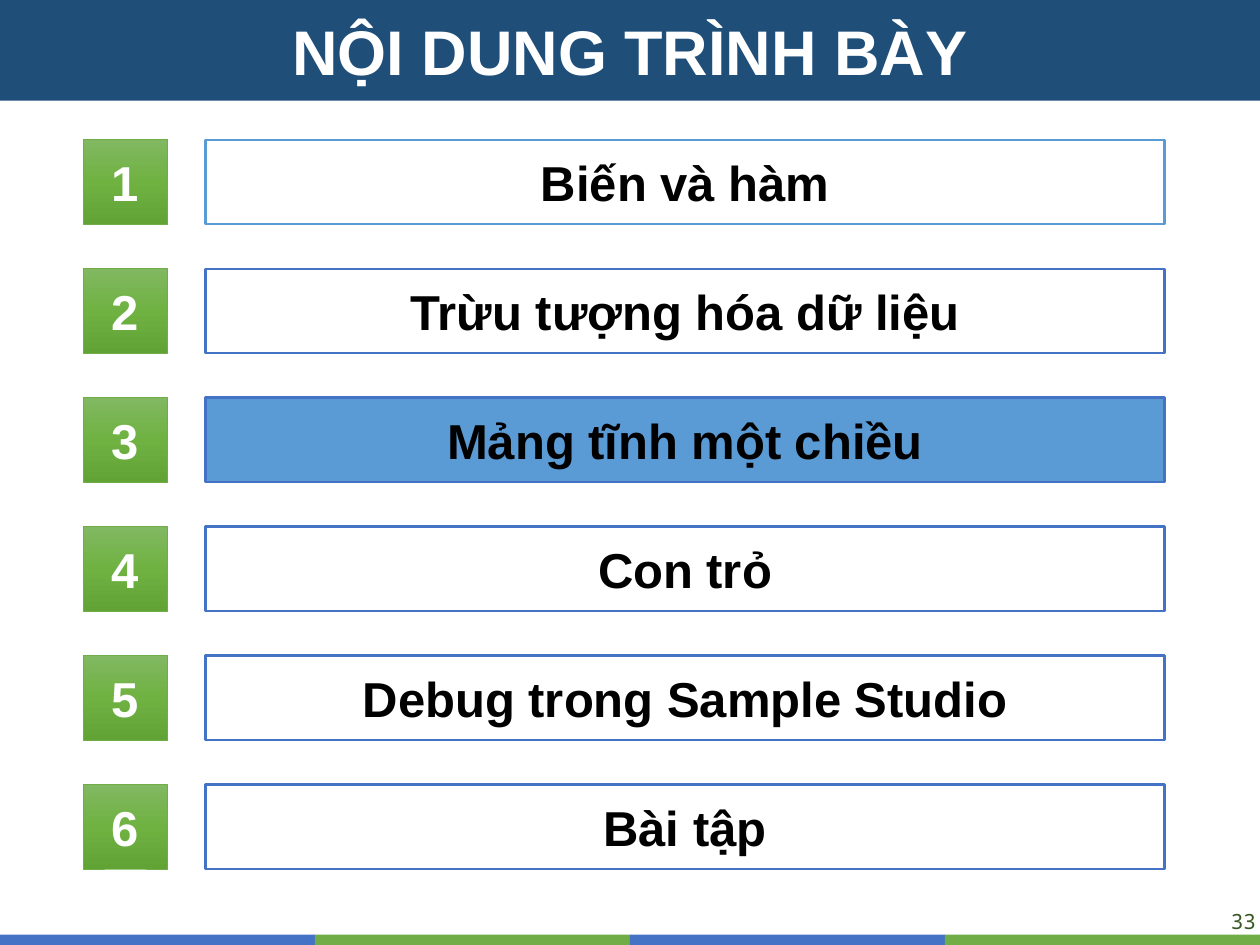
import copy
from dataclasses import dataclass

import pptx
import pptx.dml.color
import pptx.enum.shapes
import pptx.enum.text
import pptx.util

Cm = pptx.util.Cm
Pt = pptx.util.Pt
Align = pptx.enum.text.PP_ALIGN
Anchor = pptx.enum.text.MSO_ANCHOR

COLORS = {
    "navy": "1F4E79",
    "blue": "4472C4",
    "sky": "5B9BD5",
    "green": "70AD47",
    "dark green": "385723",
    "white": "FFFFFF",
    "black": "000000",
}
BADGE_GRADIENT = ["81B861", "6FB242", "62A336"]

PAGE_WIDTH, PAGE_HEIGHT = 25.4, 19.05
STRIP_HEIGHT = 0.21
FIRST_TOP, ROW_STEP, ROW_HEIGHT = 2.82, 2.6, 1.7
BADGE_LEFT, ENTRY_LEFT, ENTRY_WIDTH = 1.68, 4.14, 19.34


@dataclass
class Entry:
    text: str
    line: str = "blue"
    fill: str | None = None


ENTRIES = [
    Entry("Biến và hàm", line="sky"),
    Entry("Trừu tượng hóa dữ liệu"),
    Entry("Mảng tĩnh một chiều", fill="sky"),
    Entry("Con trỏ"),
    Entry("Debug trong Sample Studio"),
    Entry("Bài tập"),
]


def rgb(name: str) -> pptx.dml.color.RGBColor:
    return pptx.dml.color.RGBColor.from_string(COLORS.get(name, name))


def write(box, text: str, *, size: float, color: str, font: str = "Arial",
          bold: bool = True, align=Align.CENTER, anchor=Anchor.MIDDLE) -> None:
    frame = box.text_frame
    frame.word_wrap = True
    frame.auto_size = pptx.enum.text.MSO_AUTO_SIZE.NONE
    frame.vertical_anchor = anchor
    para = frame.paragraphs[0]
    para.alignment = align
    span = para.add_run()
    span.text = text
    span.font.name = font
    span.font.size = Pt(size)
    span.font.bold = bold
    span.font.color.rgb = rgb(color)


def add_box(page, left: float, top: float, width: float, height: float, *,
            fill: str | None = None, line: str | None = None, weight: float = 1.5):
    """Add a plain rectangle; lengths are in centimetres."""
    box = page.shapes.add_shape(pptx.enum.shapes.MSO_SHAPE.RECTANGLE,
                                Cm(left), Cm(top), Cm(width), Cm(height))
    box.shadow.inherit = False
    if fill:
        box.fill.solid()
        box.fill.fore_color.rgb = rgb(fill)
    else:
        box.fill.background()
    if line:
        box.line.color.rgb = rgb(line)
        box.line.width = Pt(weight)
    else:
        box.line.fill.background()
    return box


def fill_with_gradient(box, colors: list[str]) -> None:
    """Shade the box from top to bottom through evenly spaced colours."""
    box.fill.gradient()
    box.fill.gradient_angle = 270
    stop_list = box._element.xpath(".//a:gsLst")[0]
    while len(stop_list) < len(colors):
        stop_list.append(copy.deepcopy(stop_list[0]))
    for index, (stop, color) in enumerate(zip(box.fill.gradient_stops, colors)):
        stop.position = index / (len(colors) - 1)
        stop.color.rgb = rgb(color)


def add_title(page, text: str) -> None:
    title = page.shapes.title
    title.left, title.top = Cm(0), Cm(0)
    title.width, title.height = Cm(PAGE_WIDTH), Cm(2.03)
    title.fill.solid()
    title.fill.fore_color.rgb = rgb("navy")
    write(title, text, size=36, color="white")


def add_entry(page, index: int, entry: Entry) -> None:
    top = FIRST_TOP + index * ROW_STEP
    badge = add_box(page, BADGE_LEFT, top, ROW_HEIGHT, ROW_HEIGHT,
                    line="green", weight=0.5)
    fill_with_gradient(badge, BADGE_GRADIENT)
    write(badge, str(index + 1), size=28, color="white")
    bar = add_box(page, ENTRY_LEFT, top, ENTRY_WIDTH, ROW_HEIGHT,
                  fill=entry.fill, line=entry.line)
    write(bar, entry.text, size=28, color="black")


def add_footer(page, number: str) -> None:
    strip_colors = ["blue", "green"] * 2
    width = PAGE_WIDTH / len(strip_colors)
    for index, color in enumerate(strip_colors):
        add_box(page, index * width, PAGE_HEIGHT - STRIP_HEIGHT, width,
                STRIP_HEIGHT, fill=color)
    box = page.shapes.add_textbox(Cm(22.07), Cm(18.31), Cm(3.33), Cm(0.5))
    frame = box.text_frame
    frame.margin_left = frame.margin_right = Cm(0.08)
    frame.margin_top = frame.margin_bottom = 0
    write(box, number, size=12, color="dark green", font="Noto Sans Mono",
          bold=False, align=Align.RIGHT, anchor=Anchor.TOP)


def main() -> None:
    deck = pptx.Presentation()
    deck.slide_width, deck.slide_height = Cm(PAGE_WIDTH), Cm(PAGE_HEIGHT)
    page = deck.slides.add_slide(deck.slide_layouts.get_by_name("Title Only"))
    add_title(page, "NỘI DUNG TRÌNH BÀY")
    for index, entry in enumerate(ENTRIES):
        add_entry(page, index, entry)
    add_footer(page, "33")
    deck.save("out.pptx")


if __name__ == "__main__":
    main()
